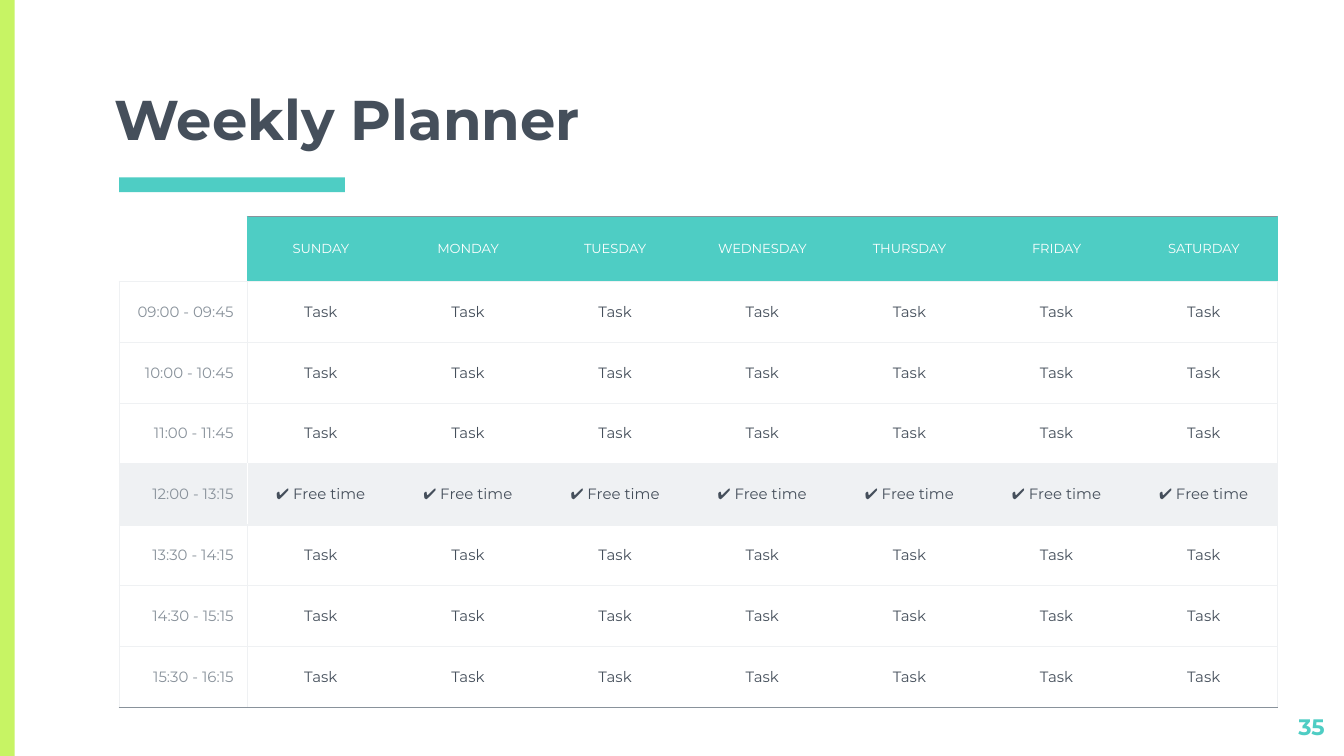
"""Builds the weekly planner slide."""
from pptx import Presentation, util as u
from pptx.dml.color import RGBColor
from pptx.enum import shapes, text
from pptx.oxml import xmlchemy as xml

LIME = RGBColor(0xC7, 0xF4, 0x64)
TEAL = RGBColor(0x4E, 0xCD, 0xC4)
DARK = RGBColor(0x45, 0x4F, 0x5B)
GREY = RGBColor(0x89, 0x92, 0x9B)
PALE = RGBColor(0xEF, 0xF1, 0xF3)
WHITE = RGBColor(0xFF, 0xFF, 0xFF)

deck = Presentation()
deck.slide_width = u.Inches(10)
deck.slide_height = deck.slide_width * 9 // 16
COL, ROW = deck.slide_width / 100, deck.slide_height / 100
slide = deck.slides.add_slide(deck.slide_layouts[6])


def area(x, y, wide, high):
    return [int(n) for n in (x * COL, y * ROW, wide * COL, high * ROW)]


def write(frame, words, size, color, align, bold=False):
    para = frame.paragraphs[0]
    para.alignment = align
    run = para.add_run()
    run.text = words
    run.font.name = "Montserrat"
    run.font.size = u.Pt(size)
    run.font.bold = bold
    run.font.color.rgb = color


LEFT, MID, RIGHT = text.PP_ALIGN.LEFT, text.PP_ALIGN.CENTER, text.PP_ALIGN.RIGHT
PAD = u.Inches(0.1)

for spot, color in [((0, 0, 1.1, 100), LIME), ((8.87, 23.47, 16.8, 1.96), TEAL)]:
    bar = slide.shapes.add_shape(shapes.MSO_SHAPE.RECTANGLE, *area(*spot))
    bar.shadow.inherit = False
    bar.fill.solid()
    bar.fill.fore_color.rgb = color
    bar.line.fill.background()

for spot, words, size, color, align, anchor in [
    ((7.57, 12.27, 84.9, 9.6), "Weekly Planner", 30, DARK, LEFT, text.MSO_ANCHOR.BOTTOM),
    ((93.55, 92.5, 6, 6.05), "35", 12, TEAL, RIGHT, text.MSO_ANCHOR.TOP),
]:
    frame = slide.shapes.add_textbox(*area(*spot)).text_frame
    frame.word_wrap = True
    frame.vertical_anchor = anchor
    frame.margin_left = frame.margin_right = PAD
    frame.margin_top = frame.margin_bottom = PAD
    write(frame, words, size, color, align, True)

days = ["SUNDAY", "MONDAY", "TUESDAY", "WEDNESDAY", "THURSDAY", "FRIDAY", "SATURDAY"]
times = ["09:00 - 09:45", "10:00 - 10:45", "11:00 - 11:45", "12:00 - 13:15",
         "13:30 - 14:15", "14:30 - 15:15", "15:30 - 16:15"]
BREAK = times.index("12:00 - 13:15") + 1
rows = [[""] + days]
for r, time in enumerate(times, 1):
    rows.append([time] + ["✔ Free time" if r == BREAK else "Task"] * len(days))
last, end = len(times), len(days)

HEAD, BODY = 8.6, 8.06
SIDE, DAY = 9.53, 10.95
spot = area(8.87, 28.62, SIDE + DAY * end, HEAD + BODY * last)
grid = slide.shapes.add_table(last + 1, end + 1, *spot).table
grid.first_row = grid.horz_banding = False
for c, column in enumerate(grid.columns):
    column.width = int(COL * (DAY if c else SIDE))
for r, line in enumerate(grid.rows):
    line.height = int(ROW * (BODY if r else HEAD))

for r, row in enumerate(rows):
    split = TEAL if r == 0 else WHITE if r == BREAK else PALE
    outer = PALE if r else TEAL
    for c, words in enumerate(row):
        cell = grid.cell(r, c)
        cell.vertical_anchor = text.MSO_ANCHOR.MIDDLE
        cell.margin_left = cell.margin_right = PAD
        cell.margin_top = cell.margin_bottom = PAD if words else 0
        edges = {
            "L": split if c == 1 else PALE if c == 0 and r else None,
            "R": split if c == 0 else outer if c == end else None,
            "T": PALE if r else GREY if c else None,
            "B": GREY if r == last else PALE,
        }
        props = cell._tc.get_or_add_tcPr()
        for side, color in edges.items():
            edge = xml.OxmlElement("a:ln" + side)
            edge.set("w", str(u.Pt(0.75)))
            fill = xml.OxmlElement("a:solidFill" if color else "a:noFill")
            if color:
                tint = xml.OxmlElement("a:srgbClr")
                tint.set("val", str(color))
                fill.append(tint)
            edge.append(fill)
            props.append(edge)
        shade = PALE if r == BREAK else TEAL if r == 0 and c else None
        if shade:
            cell.fill.solid()
            cell.fill.fore_color.rgb = shade
        else:
            cell.fill.background()
        if words:
            ink = WHITE if r == 0 else DARK if c else GREY
            write(cell.text_frame, words, 8 if r else 7, ink, MID if c else RIGHT)

deck.save("out.pptx")
